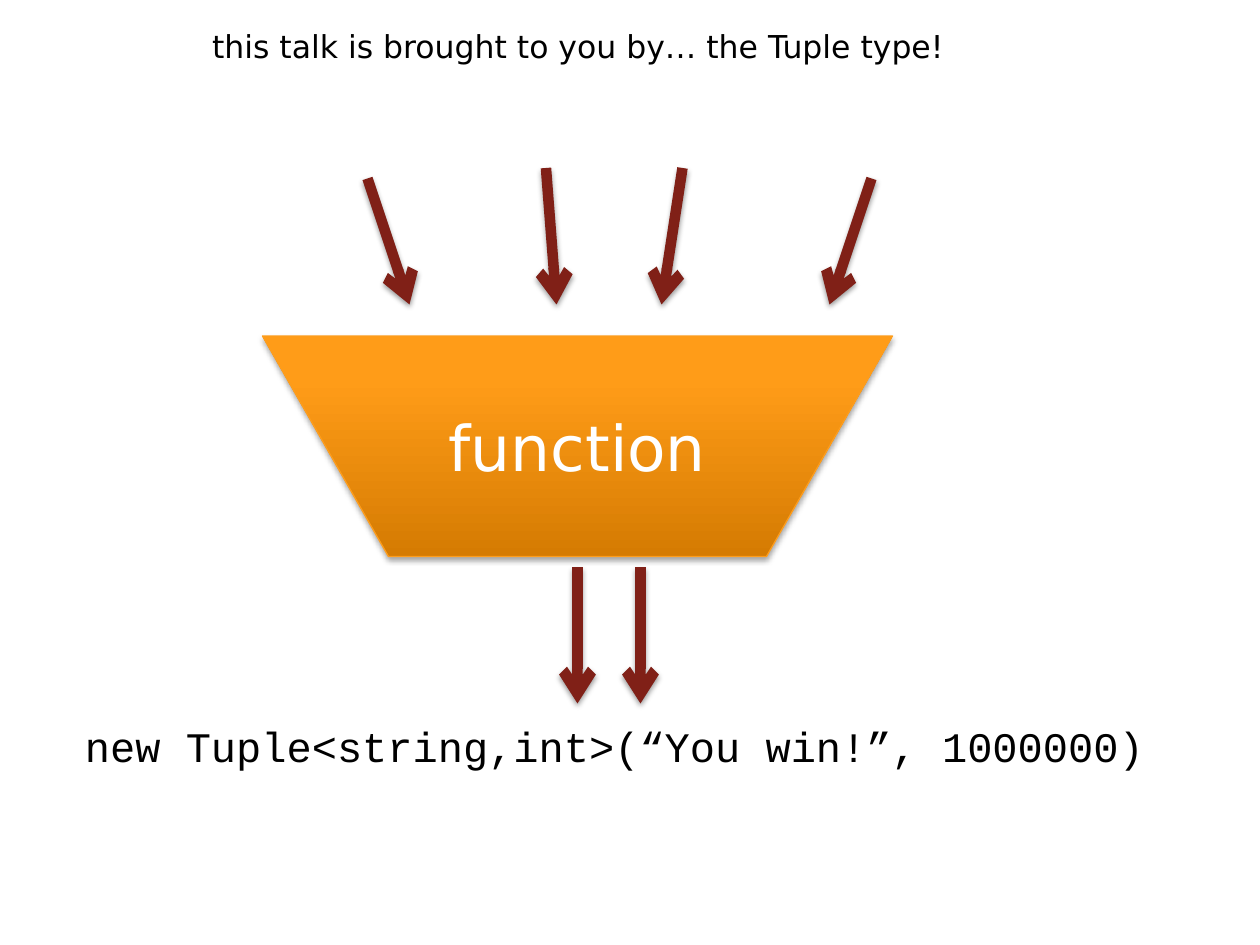
from lxml import etree
from pptx import Presentation
from pptx.dml.color import RGBColor
from pptx.enum import shapes, text
from pptx.oxml import ns
from pptx.util import Pt

COLOURS = {
    "text": "000000", "label": "FFFFFF", "arrow": "802017", "edge": "FD9D1D",
    "dark": "D57B02", "bright": "FF9C18", "top": "FF9D19", "shadow": "000000",
}
SANS, MONO = "DejaVu Sans", "Courier New"


def colour(name):
    return RGBColor.from_string(COLOURS[name])


def add_element(parent, tag, **attributes):
    element = etree.SubElement(parent, ns.qn(tag))
    for name, value in attributes.items():
        element.set(name, str(value))
    return element


def add_shadow(shape, distance, opacity):
    """Soft shadow straight below; call after the line is formatted."""
    effects = add_element(shape._element.spPr, "a:effectLst")
    outer = add_element(effects, "a:outerShdw", blurRad=Pt(3.1), dist=Pt(distance),
                        dir=90 * 60000, rotWithShape=0)
    tint = add_element(outer, "a:srgbClr", val=COLOURS["shadow"])
    add_element(tint, "a:alpha", val=opacity * 1000)


def write_text(shape, wording, font, frame, align):
    for name, value in frame.items():
        setattr(shape.text_frame, name, value)
    paragraph = shape.text_frame.paragraphs[0]
    paragraph.alignment = align
    run = paragraph.add_run()
    run.text = wording
    run.font.color.rgb = colour(font.pop("colour"))
    for name, value in font.items():
        setattr(run.font, name, value)


def place_title(slide, box):
    title = slide.shapes.title
    for name, value in zip(("left", "top", "width", "height"), box):
        setattr(title, name, Pt(value))
    write_text(title, "this talk is brought to you by… the Tuple type!",
               {"name": SANS, "size": Pt(18), "colour": "text"},
               {"word_wrap": True, "vertical_anchor": text.MSO_ANCHOR.TOP,
                "auto_size": text.MSO_AUTO_SIZE.SHAPE_TO_FIT_TEXT},
               text.PP_ALIGN.LEFT)


def place_function(slide, box):
    funnel = slide.shapes.add_shape(
        shapes.MSO_SHAPE.FLOWCHART_MANUAL_OPERATION, *map(Pt, box))
    # Gradient from the dark bottom to the bright top
    funnel.fill.gradient()
    funnel.fill.gradient_angle = 90
    stops = funnel._element.spPr.find(ns.qn("a:gradFill")).find(ns.qn("a:gsLst"))
    stops.clear()
    for position, name in ((0, "dark"), (80, "bright"), (100, "top")):
        stop = add_element(stops, "a:gs", pos=position * 1000)
        add_element(stop, "a:srgbClr", val=COLOURS[name])
    funnel.line.color.rgb = colour("edge")
    funnel.line.width = Pt(0.75)
    add_shadow(funnel, 1.8, 35)
    write_text(funnel, "function",
               {"name": SANS, "size": Pt(36), "colour": "label"},
               {"vertical_anchor": text.MSO_ANCHOR.MIDDLE},
               text.PP_ALIGN.CENTER)


def place_arrows(container, box, arrows):
    """Each arrow is (start x, start y, end x) in the box and ends at its bottom."""
    left, top, _, height = box
    for start_x, start_y, end_x in arrows:
        ends = (left + start_x, top + start_y, left + end_x, top + height)
        arrow = container.add_connector(
            shapes.MSO_CONNECTOR.STRAIGHT, *map(Pt, ends))
        arrow.line.color.rgb = colour("arrow")
        arrow.line.width = Pt(6)
        add_element(arrow.line._get_or_add_ln(), "a:tailEnd", type="arrow")
        add_shadow(arrow, 1.6, 38)


def place_result(slide, box):
    result = slide.shapes.add_textbox(*map(Pt, box))
    write_text(result, "new Tuple<string,int>(“You win!”, 1000000)",
               {"name": MONO, "size": Pt(24), "colour": "text"},
               {"word_wrap": True,
                "auto_size": text.MSO_AUTO_SIZE.SHAPE_TO_FIT_TEXT},
               text.PP_ALIGN.CENTER)


def main():
    presentation = Presentation()
    presentation.slide_width, presentation.slide_height = Pt(720), Pt(540)
    slide = presentation.slides.add_slide(presentation.slide_layouts[5])

    place_title(slide, (114, 12, 486, 29))
    place_function(slide, (150, 192, 360, 126))
    # Four inputs as one group, then two outputs
    place_arrows(slide.shapes.add_group_shape().shapes, (210, 96, 288, 78),
                 [(0, 6, 24), (102, 0, 108), (180, 0, 168), (288, 6, 264)])
    place_arrows(slide.shapes, (330, 324, 36, 78), [(0, 0, 0), (36, 0, 36)])
    place_result(slide, (12, 408, 678, 36))

    presentation.save("out.pptx")


if __name__ == "__main__":
    main()
